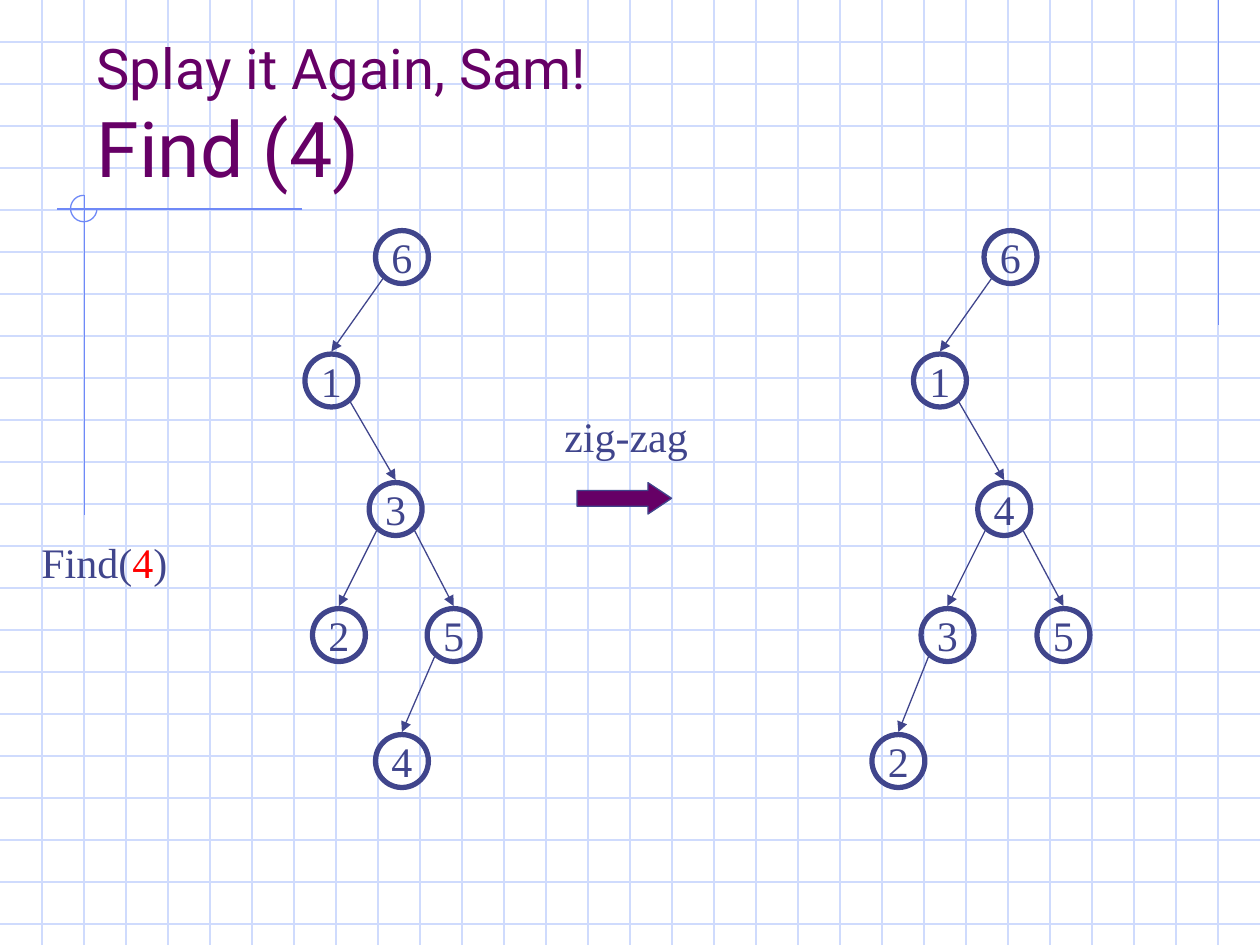
"""Build the slide that shows a zig-zag step of a splay tree."""
import pptx
import pptx.util
import pptx.dml.color
import pptx.enum.shapes
import pptx.enum.text
import pptx.oxml.ns
import lxml.etree

INK, PLUM, RED = "40458C", "660066", "FF0000"
GRID, RULE = "CFDBFD", "6F89F7"
SERIF = "Times New Roman"
WIDE, HIGH, STEP = 10, 7.5, 1 / 3
SIZE = 0.42
ROWS = [2.04, 3.02, 4.04, 5.04, 6.04]

RULES = [
    (9.67, 0, 9.67, 2.58),
    (2.4, 1.66, 0.45, 1.66),
    (0.67, 1.55, 0.67, 4.09),
]
TITLE = [("Splay it Again, Sam!\n", PLUM, 32), ("Find (4)", PLUM, 44)]
LABELS = [
    ((0.23, 4.21, 1.2, 0.5), [("Find(", INK, 24), ("4", RED, 24), (")", INK, 24)]),
    ((4.38, 3.21, 1.18, 0.5), [("zig-zag", INK, 24)]),
]
TREES = [
    {
        "left": 0,
        "nodes": {"6": (3.19, 0), "1": (2.63, 1), "3": (3.14, 2),
                  "2": (2.69, 3), "5": (3.6, 3), "4": (3.19, 4)},
        "edges": ["61", "13", "32", "35", "54"],
    },
    {
        "left": 4.83,
        "nodes": {"6": (3.19, 0), "1": (2.63, 1), "4": (3.14, 2),
                  "3": (2.69, 3), "5": (3.61, 3), "2": (2.3, 4)},
        "edges": ["61", "14", "43", "45", "32"],
    },
]

KINDS = pptx.enum.shapes.MSO_SHAPE
ANCHOR = pptx.enum.text.MSO_ANCHOR
ALIGN = pptx.enum.text.PP_ALIGN


def hue(code):
    """Turn a hex string into a colour."""
    return pptx.dml.color.RGBColor.from_string(code)


def inch(*nums):
    """Turn numbers into lengths."""
    return [pptx.util.Inches(num) for num in nums]


def tag(root, name, **keys):
    """Add a drawing element below a root."""
    return lxml.etree.SubElement(root, pptx.oxml.ns.qn(name), **keys)


def write(shape, parts, font=SERIF, align=ALIGN.LEFT, anchor=ANCHOR.TOP, wrap=False):
    """Write coloured parts of text into a shape."""
    frame = shape.text_frame
    frame.word_wrap = wrap
    frame.vertical_anchor = anchor
    para = frame.paragraphs[0]
    para.alignment = align
    for text, code, size in parts:
        run = para.add_run()
        run.text = text.rstrip("\n")
        run.font.name = font
        run.font.size = pptx.util.Pt(size)
        run.font.color.rgb = hue(code)
        if text.endswith("\n"):
            para.add_line_break()


def line(slide, ends, code, head=False):
    """Draw a thin line, with an arrowhead if asked."""
    link = slide.shapes.add_connector(
        pptx.enum.shapes.MSO_CONNECTOR.STRAIGHT, *inch(*ends))
    link.line.color.rgb = hue(code)
    link.line.width = pptx.util.Pt(0.75)
    if head:
        tag(link.line._get_or_add_ln(), "a:tailEnd", type="triangle")
    tag(link._element.spPr, "a:effectLst")


def draw(slide, kind, box, code, width=0.75, fill=None):
    """Draw a preset shape with an outline."""
    shape = slide.shapes.add_shape(kind, *inch(*box))
    shape.shadow.inherit = False
    shape.line.color.rgb = hue(code)
    shape.line.width = pptx.util.Pt(width)
    if fill:
        shape.fill.solid()
        shape.fill.fore_color.rgb = hue(fill)
    else:
        shape.fill.background()
    return shape


def paper(slide):
    """Draw the squared paper and its ruled corner."""
    for row in range(1, int(HIGH / STEP) + 1):
        line(slide, (0, row * STEP, WIDE, row * STEP), GRID)
    for col in range(1, round(WIDE / STEP)):
        line(slide, (col * STEP, 0, col * STEP, HIGH), GRID)
    for ends in RULES:
        line(slide, ends, RULE)
    arc = draw(slide, KINDS.ARC, (0.56, 1.55, 0.21, 0.21), RULE)
    arc.adjustments[0] = 0
    arc.adjustments[1] = 162


def plant(slide, tree):
    """Draw the nodes and arrows of one tree."""
    spots = {key: (tree["left"] + mid, ROWS[row])
             for key, (mid, row) in tree["nodes"].items()}
    for top, low in tree["edges"]:
        (x, y), (to_x, to_y) = spots[top], spots[low]
        side = 0.15 if to_x > x else -0.15
        line(slide, (x + side, y + 0.17, to_x, to_y - 0.23), INK, head=True)
    for key, (x, y) in spots.items():
        box = (x - SIZE / 2, y - SIZE / 2, SIZE, SIZE)
        node = draw(slide, KINDS.OVAL, box, INK, width=3)
        write(node, [(key, INK, 24)], align=ALIGN.CENTER, anchor=ANCHOR.MIDDLE)


def main():
    """Build and save the slide."""
    deck = pptx.Presentation()
    deck.slide_width, deck.slide_height = inch(WIDE, HIGH)
    slide = deck.slides.add_slide(deck.slide_layouts[6])
    paper(slide)
    title = slide.shapes.add_textbox(*inch(0.67, 0.33, 8.5, 1.25))
    write(title, TITLE, font="Roboto", anchor=ANCHOR.BOTTOM, wrap=True)
    for box, parts in LABELS:
        write(slide.shapes.add_textbox(*inch(*box)), parts)
    arrow = draw(slide, KINDS.RIGHT_ARROW, (4.58, 3.83, 0.75, 0.25), INK, fill=PLUM)
    arrow.adjustments[1] = 0.75
    for tree in TREES:
        plant(slide, tree)
    deck.save("out.pptx")


if __name__ == "__main__":
    main()
